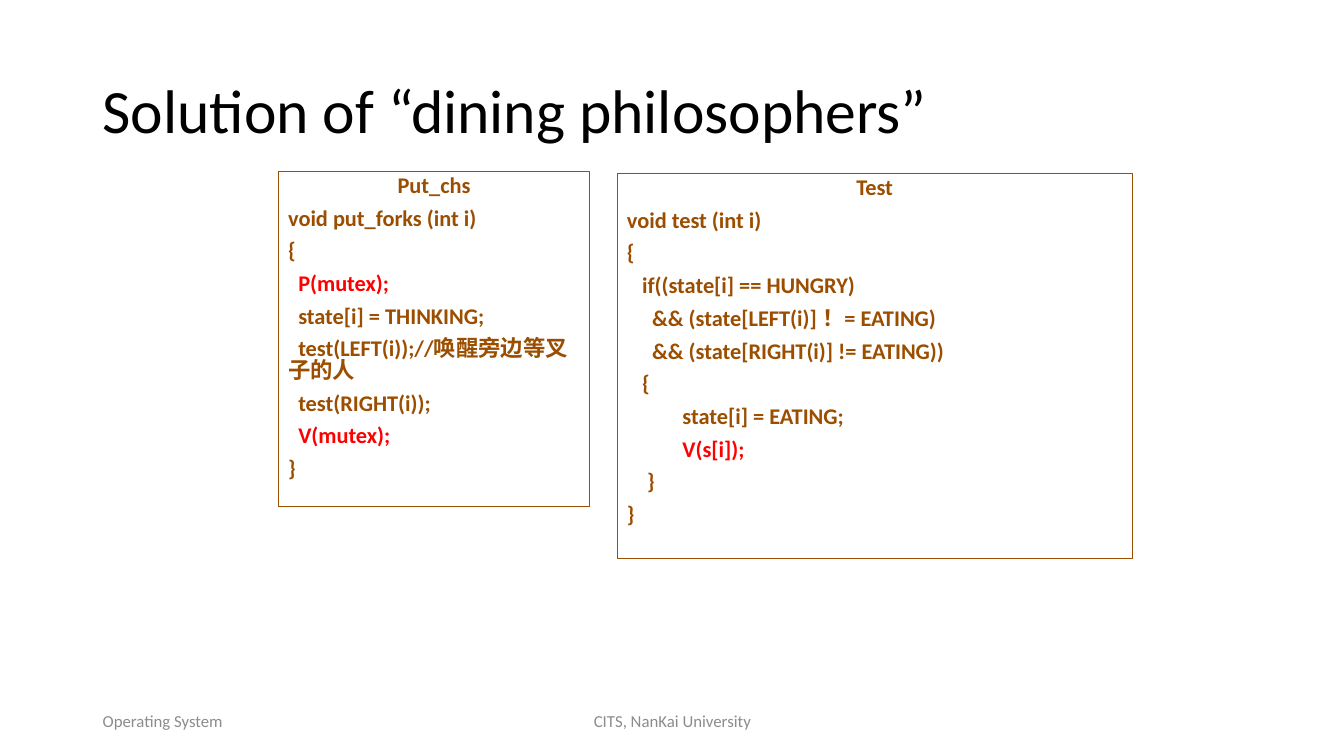
from pptx import Presentation
from pptx.dml.color import RGBColor
from pptx.enum.shapes import MSO_SHAPE
from pptx.enum.text import MSO_ANCHOR, PP_ALIGN
from pptx.util import Inches, Pt

FONT = "Calibri"
BROWN = "9C4E00"
RED = "FF0000"
GREY = "8C8C8C"
SPACE_WIDTH = 0.05

PUT_FORKS = [
    (0, "void put_forks (int i)", BROWN),
    (0, "{", BROWN),
    (2, "P(mutex);", RED),
    (2, "state[i] = THINKING;", BROWN),
    (2, "test(LEFT(i));//唤醒旁边等叉子的人", BROWN),
    (2, "test(RIGHT(i));", BROWN),
    (2, "V(mutex);", RED),
    (0, "}", BROWN),
]
TEST = [
    (0, "void test (int i)", BROWN),
    (0, "{", BROWN),
    (3, "if((state[i] == HUNGRY)", BROWN),
    (5, "&& (state[LEFT(i)] ！= EATING)", BROWN),
    (5, "&& (state[RIGHT(i)] != EATING))", BROWN),
    (3, "{", BROWN),
    (11, "state[i] = EATING;", BROWN),
    (11, "V(s[i]);", RED),
    (4, "}", BROWN),
    (0, "}", BROWN),
]


def color(value):
    """Turn a hex string into a colour."""
    return RGBColor.from_string(value)


def add_span(para, text, size, hue, bold=False):
    """Add one formatted run to a paragraph."""
    span = para.add_run()
    span.text = text
    span.font.name = FONT
    span.font.size = Pt(size)
    span.font.bold = bold
    span.font.color.rgb = color(hue)


def add_label(page, place, text, size, hue, align=PP_ALIGN.LEFT, spacing=1.0):
    """Add a single-line text box centred vertically in its place."""
    box = page.shapes.add_textbox(*map(Inches, place))
    frame = box.text_frame
    frame.word_wrap = True
    frame.vertical_anchor = MSO_ANCHOR.MIDDLE
    para = frame.paragraphs[0]
    para.alignment = align
    para.line_spacing = spacing
    add_span(para, text, size, hue)


def add_code_box(page, place, heading, lines):
    """Add an outlined box with a centred heading and indented code lines."""
    box = page.shapes.add_shape(MSO_SHAPE.RECTANGLE, *map(Inches, place))
    box.shadow.inherit = False
    box.fill.background()
    box.line.color.rgb = color(BROWN)
    box.line.width = Pt(0.75)
    frame = box.text_frame
    frame.word_wrap = True
    frame.vertical_anchor = MSO_ANCHOR.TOP
    for number, (depth, text, hue) in enumerate([(0, heading, BROWN)] + lines):
        para = frame.add_paragraph() if number else frame.paragraphs[0]
        para.alignment = PP_ALIGN.LEFT if number else PP_ALIGN.CENTER
        para.line_spacing = 0.8
        para.space_before = Pt(8)
        properties = para._p.get_or_add_pPr()
        properties.set("marL", "0")
        properties.set("indent", str(Inches(depth * SPACE_WIDTH)))
        add_span(para, text, 16, hue, bold=True)


def main():
    """Build the slide and save the deck."""
    deck = Presentation()
    deck.slide_width = Inches(13.33)
    deck.slide_height = Inches(7.5)
    page = deck.slides.add_slide(deck.slide_layouts[6])
    add_label(page, (0.92, 0.4, 11.5, 1.45), "Solution of “dining philosophers”",
              44, "000000", spacing=0.9)
    add_label(page, (0.92, 6.95, 3, 0.4), "Operating System", 12, GREY)
    add_label(page, (4.42, 6.95, 4.5, 0.4), "CITS, NanKai University", 12, GREY,
              PP_ALIGN.CENTER)
    add_code_box(page, (2.76, 1.7, 3.09, 3.33), "Put_chs", PUT_FORKS)
    add_code_box(page, (6.12, 1.72, 5.11, 3.82), "Test", TEST)
    deck.save("out.pptx")


if __name__ == "__main__":
    main()
